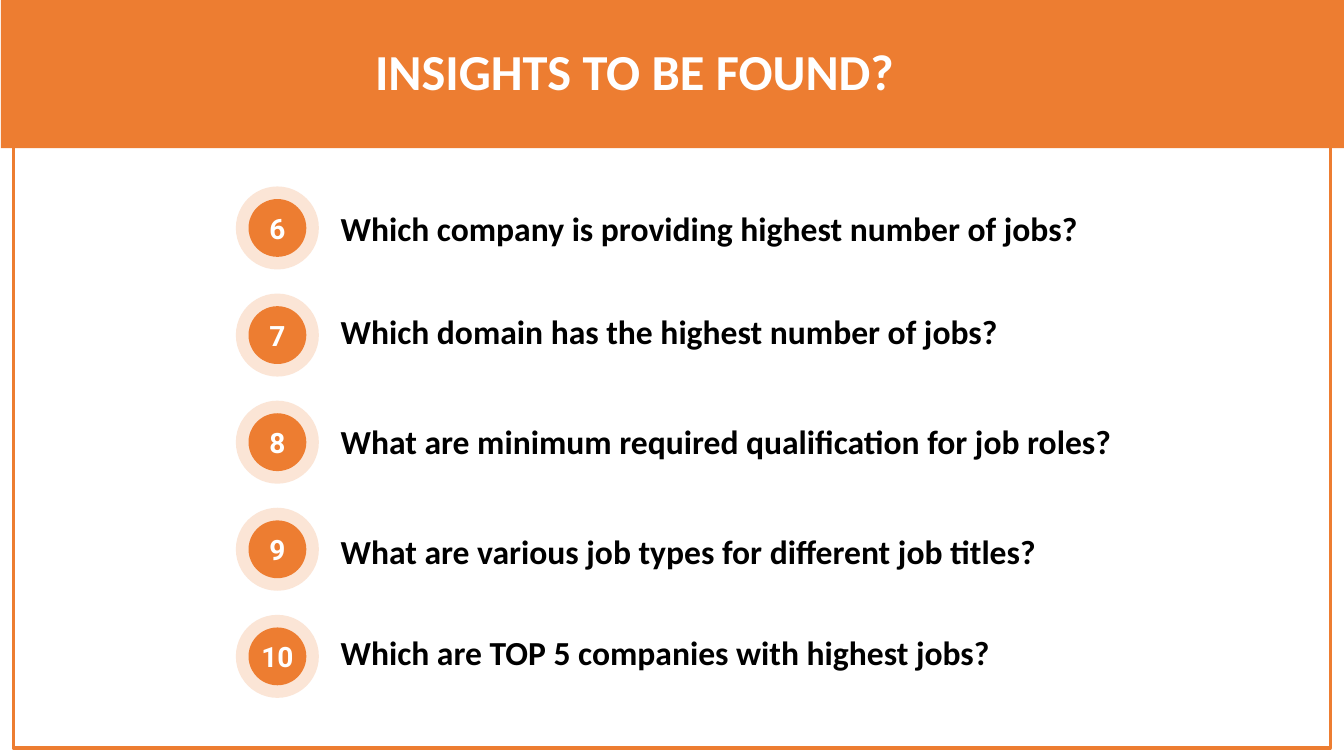
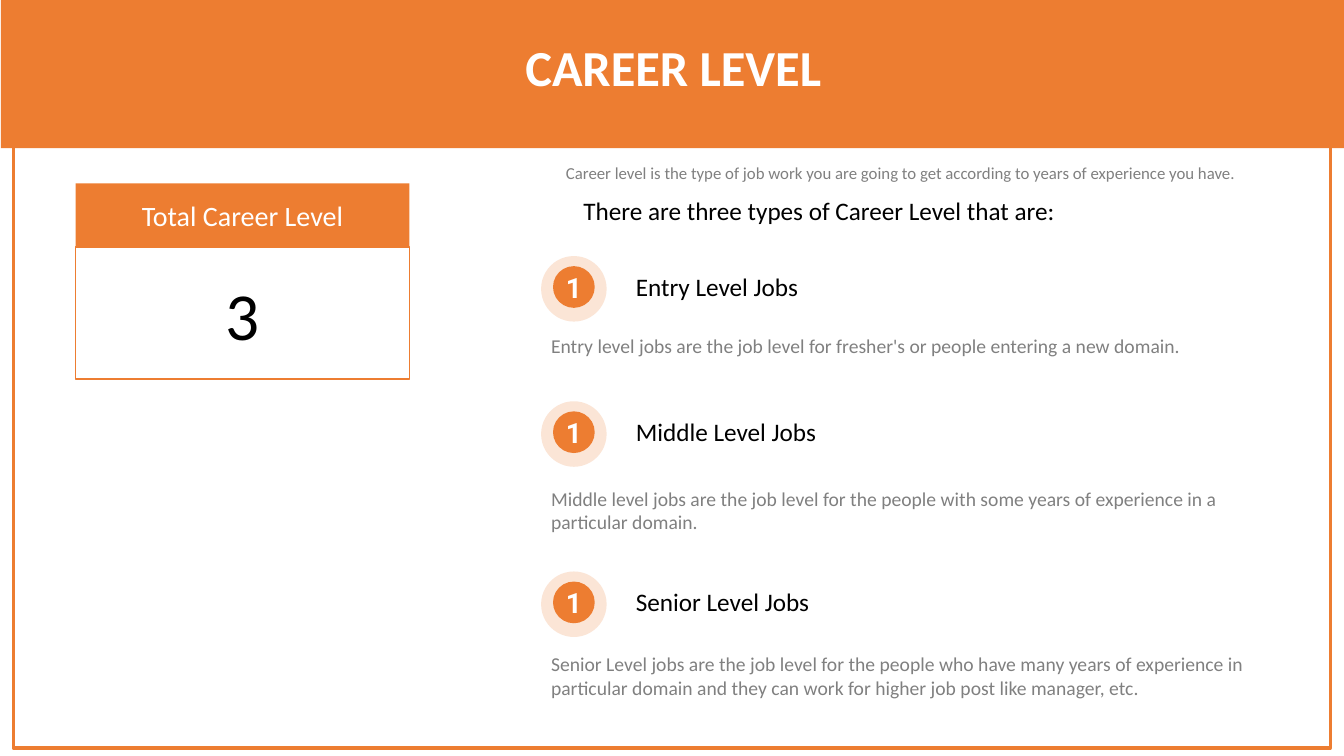
from pptx import Presentation
from pptx.dml.color import RGBColor
from pptx.enum.shapes import MSO_SHAPE
from pptx.enum.text import MSO_ANCHOR, MSO_AUTO_SIZE, PP_ALIGN
from pptx.util import Pt

COLORS = {
    "accent": "ED7D31",
    "tint": "FBE5D6",
    "white": "FFFFFF",
    "black": "000000",
    "gray": "808080",
}
SLIDE_W, SLIDE_H = 960, 540
TITLE_ONLY = 5

QUESTIONS = [
    ("6", "Which company is providing highest number of jobs?", 11.5),
    ("7", "Which domain has the highest number of jobs?", 8.5),
    ("8", "What are minimum required qualification for job roles?", 11.2),
    ("9", "What are various job types for different job titles?", 13.2),
    ("10", "Which are TOP 5 companies with highest jobs?", 8.7),
]
LEVELS = [
    (182.9, "Entry Level Jobs", 51.8, 24.5,
     "Entry level jobs are the job level for fresher's or people entering a new domain."),
    (286.6, "Middle Level Jobs", 57.6, 41,
     "Middle level jobs are the job level for the people with some years of "
     "experience in a particular domain."),
    (408.2, "Senior Level Jobs", 54, 58,
     "Senior Level jobs are the job level for the people who have many years of "
     "experience in particular domain and they can work for higher job post like manager, etc."),
]


def rgb(name):
    return RGBColor.from_string(COLORS[name])


def place(sp, x, y, w, h):
    sp.left, sp.top, sp.width, sp.height = Pt(x), Pt(y), Pt(w), Pt(h)


def write(tf, text, size=18, color="black", bold=False, font="Calibri",
          align=PP_ALIGN.LEFT, anchor=MSO_ANCHOR.TOP, wrap=True):
    tf.word_wrap = wrap
    tf.auto_size = MSO_AUTO_SIZE.NONE
    tf.vertical_anchor = anchor
    p = tf.paragraphs[0]
    p.alignment = align
    r = p.add_run()
    r.text = text
    r.font.size = Pt(size)
    r.font.name = font
    r.font.bold = bold
    r.font.color.rgb = rgb(color)


def add_text(s, x, y, w, h, text, **fmt):
    sp = s.shapes.add_textbox(Pt(x), Pt(y), Pt(w), Pt(h))
    write(sp.text_frame, text, **fmt)


def add_box(s, x, y, w, h, fill, kind=MSO_SHAPE.RECTANGLE, line=None):
    sp = s.shapes.add_shape(kind, Pt(x), Pt(y), Pt(w), Pt(h))
    sp.shadow.inherit = False
    sp.fill.solid()
    sp.fill.fore_color.rgb = rgb(fill)
    if line:
        sp.line.color.rgb = rgb("accent")
        sp.line.width = Pt(line)
    else:
        sp.line.fill.background()
    return sp


def add_base(prs, title, x, y, w):
    s = prs.slides.add_slide(prs.slide_layouts[TITLE_ONLY])
    add_box(s, 9.4, 6.5, 941, 527.8, "white", line=2.25)
    add_box(s, 0.7, 0, SLIDE_W - 0.7, 105.8, "accent")
    sp = s.shapes.title
    place(sp, x, y, w, 51)
    write(sp.text_frame, title, size=36, color="white", bold=True,
          align=PP_ALIGN.CENTER, anchor=MSO_ANCHOR.MIDDLE)
    sp.element.getparent().append(sp.element)
    return s


def add_badge(s, x, y, number, outer, inner, drop):
    add_box(s, x, y, outer, outer, "tint", MSO_SHAPE.OVAL)
    sp = add_box(s, x + (outer - inner) / 2, y + drop, inner, inner, "accent", MSO_SHAPE.OVAL)
    tf = sp.text_frame
    tf.margin_left = tf.margin_right = tf.margin_top = tf.margin_bottom = 0
    write(tf, number, size=20, color="white", bold=True, font="Roboto",
          align=PP_ALIGN.CENTER, anchor=MSO_ANCHOR.MIDDLE, wrap=False)


def add_question_list(s, x, y, pitch):
    for i, (number, question, drop) in enumerate(QUESTIONS):
        top = y + i * pitch
        add_badge(s, x, top, number, 59.3, 41.3, 9)
        add_text(s, x + 67.7, top + drop, 626, 36, question, size=24, bold=True)


def add_total_card(s, x, y, w, head_h, body_h):
    centered = dict(align=PP_ALIGN.CENTER, anchor=MSO_ANCHOR.MIDDLE)
    body = add_box(s, x, y + head_h, w, body_h, "white", line=1)
    write(body.text_frame, "3", size=48, **centered)
    head = add_box(s, x, y, w, head_h, "accent")
    write(head.text_frame, "Total Career Level", size=20, color="white", **centered)


def add_level(s, x, y, name, gap, h, detail):
    add_badge(s, x, y, "1", 46.8, 29.8, 7.2)
    add_text(s, x + 60.6, y + 7.2, 220, 29, name)
    add_text(s, x, y + gap, 514, h, detail, size=14, color="gray")


def add_insights_slide(prs):
    s = add_base(prs, "INSIGHTS TO BE FOUND?", 203.8, 24.5, 499)
    add_question_list(s, 168.5, 133.2, 76.5)


def add_career_slide(prs):
    s = add_base(prs, "CAREER LEVEL", 334, 21.6, 294)
    add_total_card(s, 54, 131, 238.5, 45.5, 94.3)
    add_text(s, 344, 113, 599, 22,
             "Career level is the type of job work you are going to get "
             "according to years of experience you have.",
             size=12, color="gray", align=PP_ALIGN.CENTER)
    add_text(s, 409.7, 136, 369, 29, "There are three types of Career Level that are:")
    for y, *level in LEVELS:
        add_level(s, 386.5, y, *level)


def main():
    prs = Presentation()
    prs.slide_width, prs.slide_height = Pt(SLIDE_W), Pt(SLIDE_H)
    add_insights_slide(prs)
    add_career_slide(prs)
    prs.save("out.pptx")


if __name__ == "__main__":
    main()
